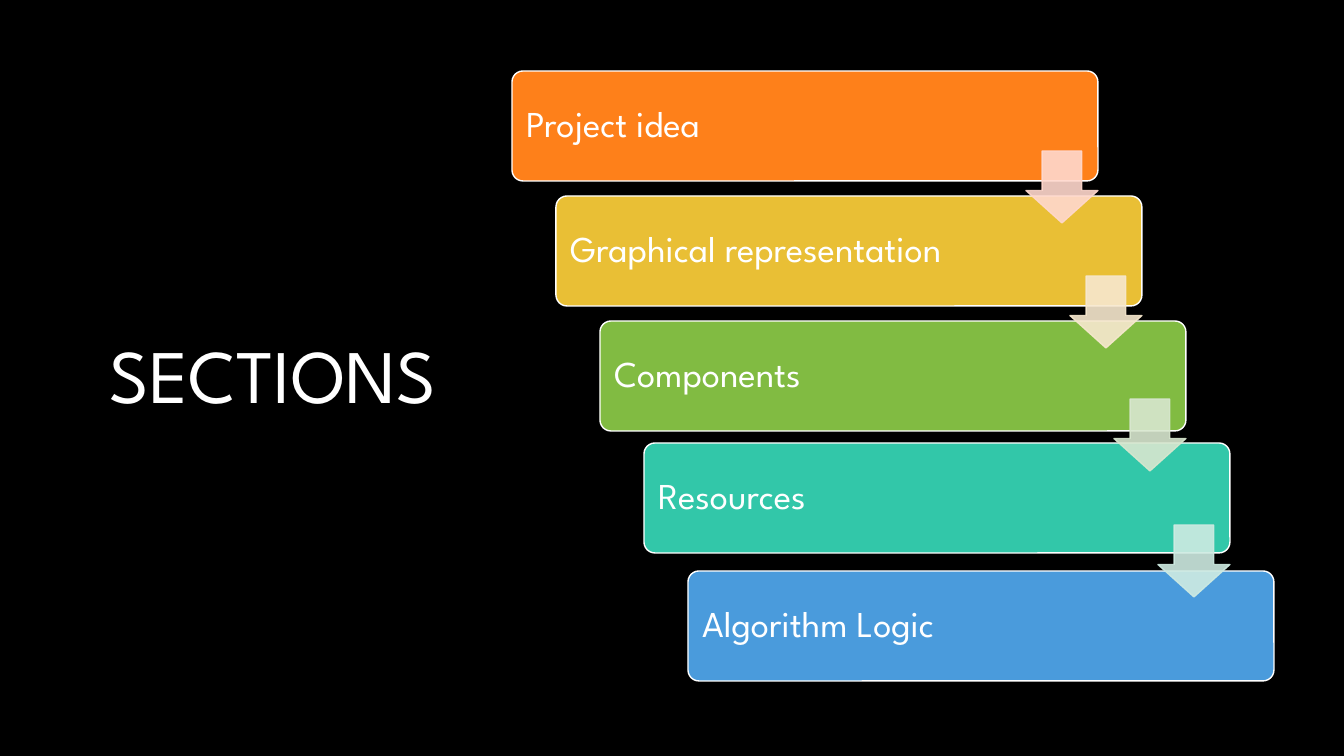
"""Build a slide listing the project sections as a staircase of bars."""
from lxml.etree import SubElement
from pptx import Presentation
from pptx.dml.color import RGBColor
from pptx.enum.shapes import MSO_SHAPE as SHAPE
from pptx.enum.text import MSO_ANCHOR as ANCHOR, PP_ALIGN as ALIGN
from pptx.oxml.ns import qn
from pptx.util import Pt

TITLE = "SECTIONS"
SECTIONS = [
    ("Project idea", "FE801A", 71),
    ("Graphical representation", "E9BF35", 196),
    ("Components", "81BB42", 321),
    ("Resources", "32C7A9", 443),
    ("Algorithm Logic", "4A9BDC", 571),
]
ARROWS = [("FFD8CD", 151), ("F7E8CE", 276), ("D8E7CF", 399), ("CEEBE2", 525)]

FONT, WHITE, BLACK = "League Spartan", "FFFFFF", "000000"
SLIDE_W, SLIDE_H = 1344, 756
BAR_LEFT, BAR_W, BAR_H, STEP = 512, 586, 110, 44
ARROW = 72
INSET = 11


def px(n):
    return round(n * 12192000 / SLIDE_W)


def color(hex_value):
    return RGBColor.from_string(hex_value)


def write(sp, text, size, align):
    tf = sp.text_frame
    tf.word_wrap = True
    tf.vertical_anchor = ANCHOR.MIDDLE
    tf.margin_left = tf.margin_right = tf.margin_top = tf.margin_bottom = px(INSET)
    p = tf.paragraphs[0]
    p.alignment = align
    p.line_spacing = 0.9
    r = p.add_run()
    r.text = text
    r.font.size = Pt(size)
    r.font.name = FONT
    r.font.color.rgb = color(WHITE)


def add_shape(slide, kind, box, adjustments, fill, line):
    sp = slide.shapes.add_shape(kind, *map(px, box))
    sp.shadow.inherit = False
    for i, value in enumerate(adjustments):
        sp.adjustments[i] = value
    sp.fill.solid()
    sp.fill.fore_color.rgb = color(fill)
    sp.line.color.rgb = color(line)
    sp.line.width = Pt(1)
    return sp


def set_opacity(sp, percent):
    for clr in sp.element.spPr.iter(qn("a:srgbClr")):
        SubElement(clr, qn("a:alpha")).set("val", str(percent * 1000))


def main():
    prs = Presentation()
    prs.slide_width, prs.slide_height = px(SLIDE_W), px(SLIDE_H)
    slide = prs.slides.add_slide(prs.slide_layouts[6])
    slide.background.fill.solid()
    slide.background.fill.fore_color.rgb = color(BLACK)

    title = slide.shapes.add_textbox(px(70), px(71), px(377), px(616))
    write(title, TITLE, 54, ALIGN.RIGHT)

    for i, (label, fill, top) in enumerate(SECTIONS):
        box = (BAR_LEFT + i * STEP, top, BAR_W, BAR_H)
        bar = add_shape(slide, SHAPE.ROUNDED_RECTANGLE, box, [0.1], fill, WHITE)
        write(bar, label, 26, ALIGN.LEFT)

    for i, (fill, top) in enumerate(ARROWS):
        box = (BAR_LEFT + i * STEP + BAR_W - ARROW, top, ARROW, ARROW)
        arrow = add_shape(slide, SHAPE.DOWN_ARROW, box, [0.55, 0.45], fill, fill)
        set_opacity(arrow, 90)

    prs.save("out.pptx")


if __name__ == "__main__":
    main()
